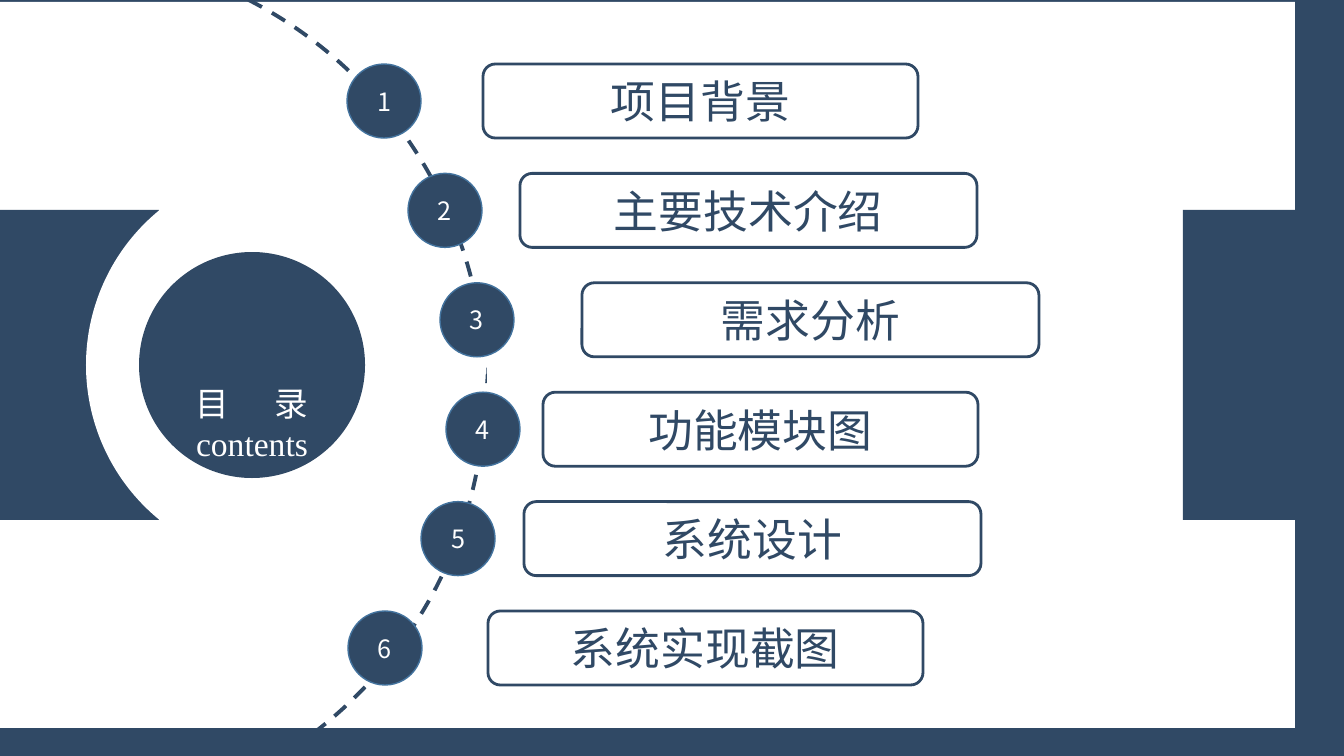
from lxml import etree
from pptx import Presentation, util as u
from pptx.dml.color import RGBColor
from pptx.enum import dml, shapes, text
from pptx.oxml.ns import qn

EMU_PER_PX = 914400 / 100.8
SLIDE_W, SLIDE_H = 1344, 756
COLOURS = {"navy": "304965", "rim": "43739E", "white": "FFFFFF"}
SANS, SERIF = "Noto Sans CJK SC", "Times New Roman"

# Topic, left of its number, left and width of its label
TOPICS = [
    ("项目背景", 347, 483, 435),
    ("主要技术介绍", 408, 520, 457),
    ("需求分析", 440, 582, 457),
    ("功能模块图", 446, 543, 435),
    ("系统设计", 421, 524, 457),
    ("系统实现截图", 348, 488, 435),
]


def px(length):
    return u.Emu(round(length * EMU_PER_PX))


def colour(name):
    return RGBColor.from_string(COLOURS[name])


def add_part(slide, preset, box, fill=None, line=None, weight=1):
    part = slide.shapes.add_shape(preset, *map(px, box))
    part.shadow.inherit = False
    if fill:
        part.fill.solid()
        part.fill.fore_color.rgb = colour(fill)
    else:
        part.fill.background()
    if line:
        part.line.color.rgb = colour(line)
        part.line.width = u.Pt(weight)
    else:
        part.line.fill.background()
    return part


def format_frame(frame):
    values = {"margin_left": 0, "margin_right": 0, "margin_top": 0,
              "margin_bottom": 0, "word_wrap": True,
              "auto_size": text.MSO_AUTO_SIZE.NONE,
              "vertical_anchor": text.MSO_ANCHOR.MIDDLE}
    for name, value in values.items():
        setattr(frame, name, value)


def write(paragraph, words, size, ink, face=SANS):
    paragraph.alignment = text.PP_ALIGN.CENTER
    run = paragraph.add_run()
    run.text = words
    for name, value in {"size": u.Pt(size), "name": face, "bold": False}.items():
        setattr(run.font, name, value)
    run.font.color.rgb = colour(ink)
    etree.SubElement(run.font._element, qn("a:ea"), typeface=face)
    return run


def add_backdrop(slide, box):
    left, top, width, height = box
    rect, oval = shapes.MSO_SHAPE.RECTANGLE, shapes.MSO_SHAPE.OVAL
    band_top, band_height, band_width = top + 208, 310, 112

    # White page with the dashed orbit
    add_part(slide, rect, box, "white")
    orbit = add_part(slide, oval, (left - 378, top - 50, 870, 870),
                     line="navy", weight=2.75)
    orbit.line.dash_style = dml.MSO_LINE.DASH

    # Side bands, the left one cut by a white halo
    add_part(slide, rect, (left + width - band_width, band_top,
                           band_width, band_height), "navy")
    add_part(slide, rect, (left, band_top, 166, band_height), "navy")
    add_part(slide, oval, (left + 93, top + 163, 400, 400), "white")


def add_heading(slide, box):
    left, top, width, height = box
    add_part(slide, shapes.MSO_SHAPE.OVAL, box, "navy")

    # Title in the lower half of the disc
    title = slide.shapes.title
    place = {"left": left, "top": top + 127, "width": width, "height": 88}
    for name, value in place.items():
        setattr(title, name, px(value))
    slide.shapes.element.append(title.element)
    frame = title.text_frame
    format_frame(frame)
    chinese, english = frame.paragraphs[0], frame.add_paragraph()
    first = write(chinese, "目 ", 24, "white")
    first.font._element.set("spc", "1340")
    write(chinese, "录", 24, "white")
    write(english, "contents", 24, "white", SERIF)


def add_topics(slide, box):
    left, top, width, height = box
    row_height = 74
    pitch = (height - row_height) / (len(TOPICS) - 1)
    for row, (topic, number_left, label_left, label_width) in enumerate(TOPICS):
        row_top = top + row * pitch
        number = add_part(slide, shapes.MSO_SHAPE.OVAL,
                          (left + number_left - TOPICS[0][1], row_top,
                           row_height, row_height), "navy", "rim")
        label = add_part(slide, shapes.MSO_SHAPE.ROUNDED_RECTANGLE,
                         (left + label_left - TOPICS[0][1], row_top,
                          label_width, row_height), "white", "navy", 2)
        for part, words, size, ink in ((number, str(row + 1), 18, "white"),
                                       (label, topic, 32, "navy")):
            format_frame(part.text_frame)
            write(part.text_frame.paragraphs[0], words, size, ink)


def build_contents(deck):
    slide = deck.slides.add_slide(deck.slide_layouts[5])
    slide.background.fill.solid()
    slide.background.fill.fore_color.rgb = colour("navy")
    add_backdrop(slide, (-7, 2, 1302, 726))
    add_heading(slide, (139, 252, 226, 226))
    add_topics(slide, (347, 64, 692, 621))


def main():
    deck = Presentation()
    deck.slide_width, deck.slide_height = px(SLIDE_W), px(SLIDE_H)
    build_contents(deck)
    deck.save("out.pptx")


if __name__ == "__main__":
    main()
